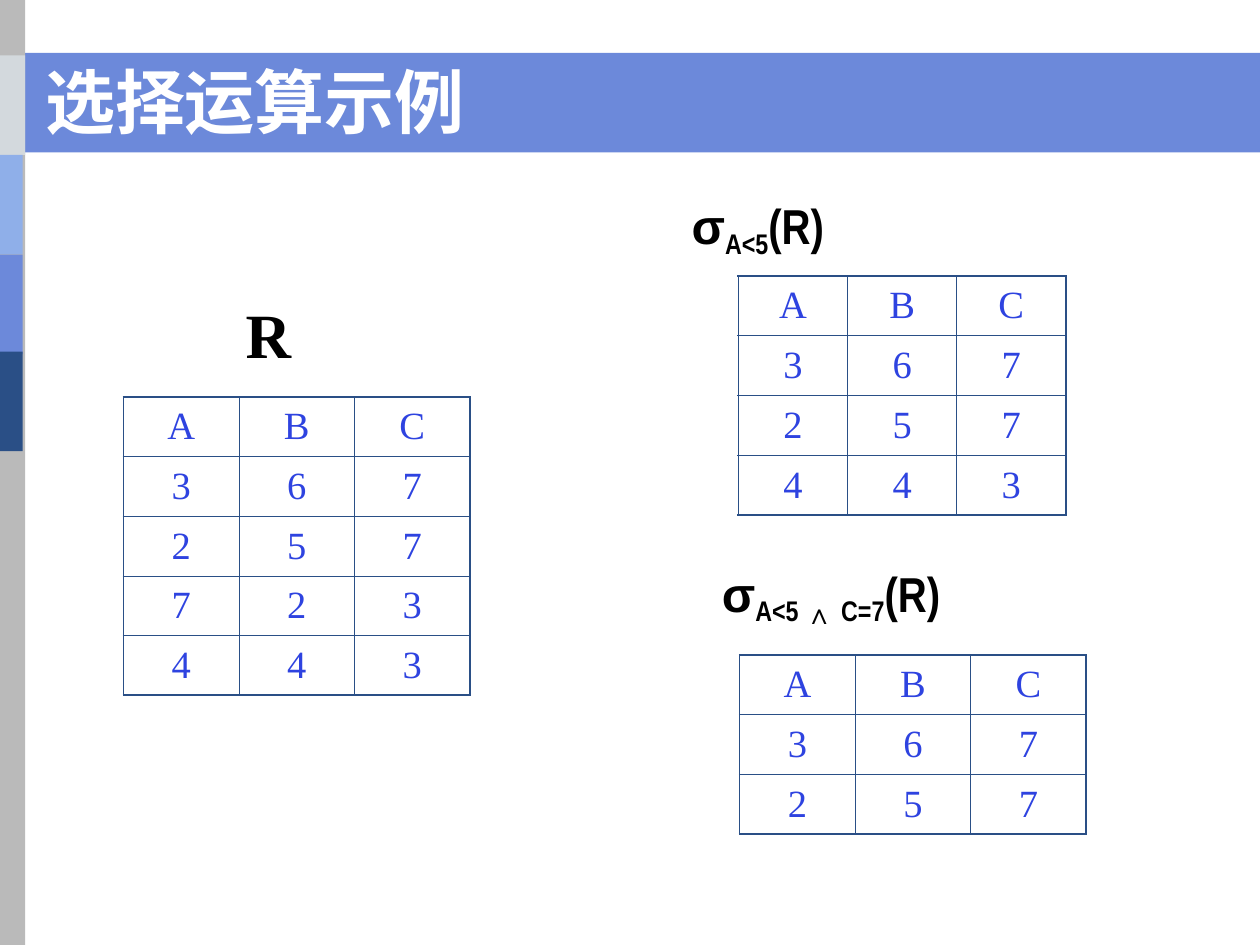
"""Build the slide of worked examples for the relational selection operator."""
from lxml.etree import SubElement
from pptx import Presentation
from pptx.dml.color import RGBColor
from pptx.enum.shapes import MSO_SHAPE
from pptx.enum.text import MSO_ANCHOR, PP_ALIGN
from pptx.oxml.ns import qn
from pptx.util import Inches, Pt

WHITE = RGBColor(0xFF, 0xFF, 0xFF)
BLACK = RGBColor(0x00, 0x00, 0x00)
GRAY = RGBColor(0xBA, 0xBA, 0xBA)
PALE = RGBColor(0xD3, 0xD9, 0xDD)
SKY = RGBColor(0x8F, 0xAF, 0xE9)
PERIWINKLE = RGBColor(0x6C, 0x89, 0xDA)
NAVY = RGBColor(0x2A, 0x4F, 0x86)
VALUE_BLUE = RGBColor(0x2E, 0x43, 0xE0)


def add_label(left, top, width, height, size, color, runs):
    label = slide.shapes.add_textbox(Inches(left), Inches(top), Inches(width), Inches(height))
    label.text_frame.word_wrap = True
    paragraph = label.text_frame.paragraphs[0]
    for text, font_name, baseline in runs:
        run = paragraph.add_run()
        run.text = text
        run.font.name = font_name
        run.font.size = Pt(size)
        run.font.bold = True
        run.font.color.rgb = color
        if baseline:
            run.font._element.set("baseline", str(baseline * 1000))
    return label


def add_border(cell, side, points):
    line = SubElement(cell._tc.get_or_add_tcPr(), qn(f"a:ln{side}"), w=str(Pt(points)))
    SubElement(SubElement(line, qn("a:solidFill")), qn("a:srgbClr"), val=str(NAVY))


prs = Presentation()
prs.slide_width = Inches(10)
prs.slide_height = Inches(7.5)
slide = prs.slides.add_slide(prs.slide_layouts[6])

bands = [
    (0, 0.42, 10, 0.79, PERIWINKLE),
    (-0.01, 0, 0.21, 7.5, GRAY),
    (0, 0.44, 0.2, 0.79, PALE),
    (-0.02, 1.23, 0.2, 0.79, SKY),
    (-0.02, 2.02, 0.2, 0.79, PERIWINKLE),
    (-0.02, 2.79, 0.2, 0.79, NAVY),
]
for left, top, width, height, color in bands:
    band = slide.shapes.add_shape(
        MSO_SHAPE.RECTANGLE, Inches(left), Inches(top), Inches(width), Inches(height))
    band.shadow.inherit = False
    band.fill.solid()
    band.fill.fore_color.rgb = color
    band.line.fill.background()

title = add_label(0.26, 0.17, 8.5, 1.25, 40, WHITE, [("选择运算示例", "DejaVu Sans", 0)])
title.text_frame.vertical_anchor = MSO_ANCHOR.MIDDLE

add_label(1.85, 2.3, 0.92, 0.7, 36, BLACK, [("R", "Times New Roman", 0)])
add_label(5.39, 1.5, 1.75, 0.61, 28, BLACK, [
    ("σ", "Arial", 0), ("A<5", "Arial Narrow", -20), ("(R)", "Arial Narrow", 0)])
add_label(5.63, 4.42, 2.58, 0.63, 28, BLACK, [
    ("σ", "Arial", 0), ("A<5 ", "Arial Narrow", -20), ("∧ ", "Arial", -25),
    ("C=7", "Arial Narrow", -20), ("(R)", "Arial Narrow", 0)])

relations = [
    (0.98, 3.15, 2.75, 2.37, ["ABC", "367", "257", "723", "443"]),
    (5.86, 2.19, 2.6, 1.9, ["ABC", "367", "257", "443"]),
    (5.87, 5.2, 2.75, 1.42, ["ABC", "367", "257"]),
]
for left, top, width, height, tuples in relations:
    last_row, last_column = len(tuples) - 1, len(tuples[0]) - 1
    relation = slide.shapes.add_table(
        len(tuples), len(tuples[0]),
        Inches(left), Inches(top), Inches(width), Inches(height)).table
    relation.first_row = False
    relation.horz_banding = False
    for row, values in enumerate(tuples):
        for column, value in enumerate(values):
            cell = relation.cell(row, column)
            outer_sides = {"L": column == 0, "R": column == last_column,
                           "T": row == 0, "B": row == last_row}
            for side, is_outer in outer_sides.items():
                add_border(cell, side, 1.08 if is_outer else 0.45)
            cell.fill.background()
            cell.vertical_anchor = MSO_ANCHOR.MIDDLE
            paragraph = cell.text_frame.paragraphs[0]
            paragraph.alignment = PP_ALIGN.CENTER
            run = paragraph.add_run()
            run.text = value
            run.font.name = "Times New Roman"
            run.font.size = Pt(22)
            run.font.color.rgb = VALUE_BLUE

prs.save("out.pptx")
